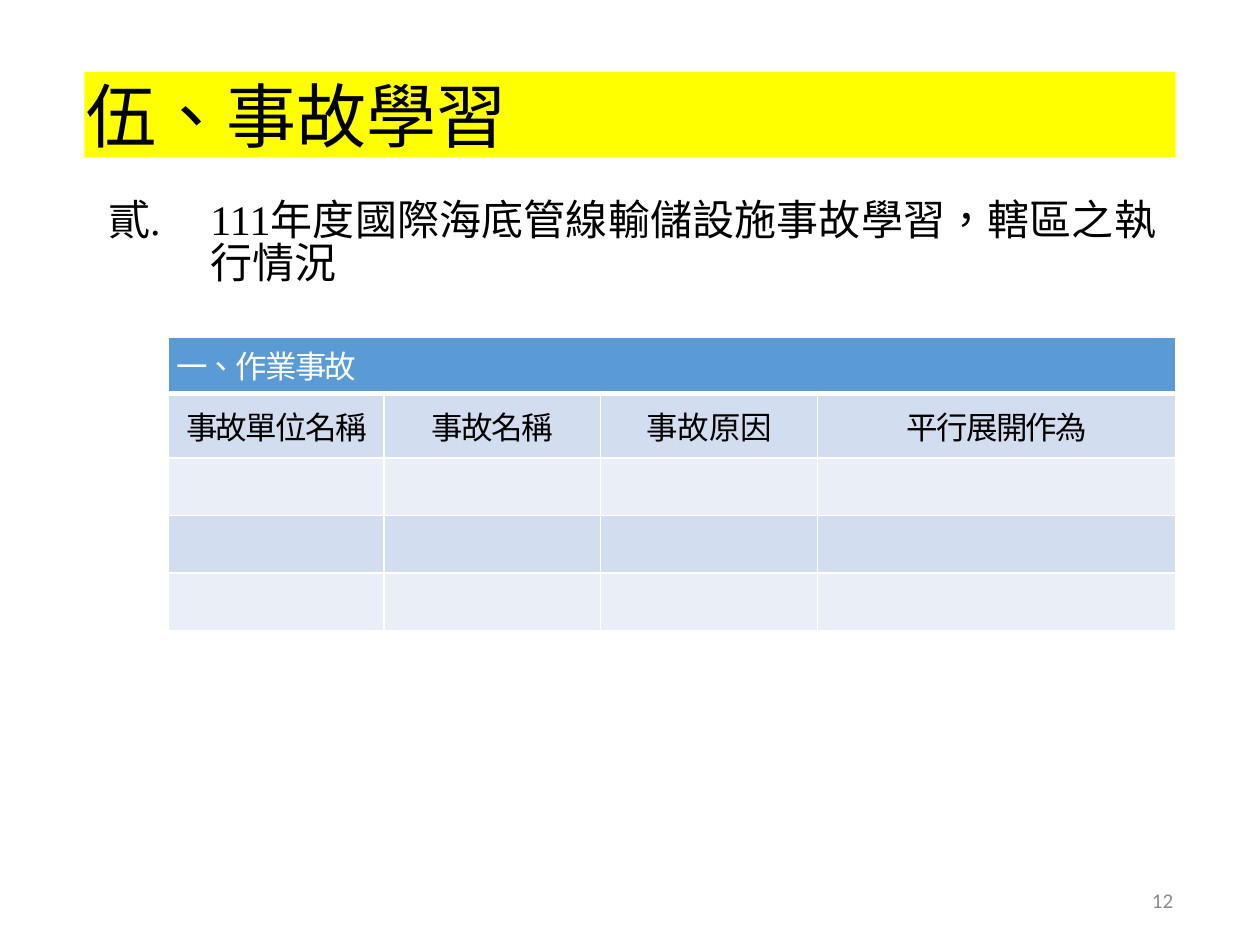
from lxml import etree
from pptx import Presentation
from pptx import util as u
from pptx.dml.color import RGBColor
from pptx.enum import lang, shapes, text
from pptx.oxml.ns import qn

CJK = "Noto Sans CJK SC"
SERIF = "Times New Roman"
BLACK, WHITE = "000000", "FFFFFF"
HEADER_FILL, BANDS = "5B9BD5", ("D2DEEF", "EAEFF7")

COLUMN_WIDTHS = (4.34, 4.37, 4.37, 7.23)
ROW_HEIGHTS = (1.14, 1.3, 1.16, 1.16, 1.16)
# Heading and its letter spacing in points
HEADINGS = (("事故單位名稱", -1), ("事故名稱", -1), ("事故原因", 0), ("平行展開作為", -1))


def rgb(value):
    return RGBColor.from_string(value)


def fill_solid(fill, color):
    fill.solid()
    fill.fore_color.rgb = rgb(color)


def set_margins(frame, x=0, y=0):
    """Works for text frames and table cells alike."""
    frame.margin_left = frame.margin_right = u.Cm(x)
    frame.margin_top = frame.margin_bottom = u.Cm(y)


def write(p, content, size, font, color, spacing=0, align=text.PP_ALIGN.LEFT):
    p.add_run().text = content
    p.alignment = align
    f = p.font
    f.size, f.name, f.color.rgb = u.Pt(size), font, rgb(color)
    f.language_id = lang.MSO_LANGUAGE_ID.TRADITIONAL_CHINESE
    props = p._p.get_or_add_pPr().get_or_add_defRPr()
    props.set("spc", str(round(spacing * 100)))
    etree.SubElement(props, qn("a:ea")).set("typeface", CJK)


def indent(p, left, first=0):
    props = p._p.get_or_add_pPr()
    props.set("marL", str(u.Cm(left)))
    props.set("indent", str(u.Cm(first)))
    return props


def add_text(slide, left, top, width, height, anchor):
    sp = slide.shapes.add_textbox(u.Cm(left), u.Cm(top), u.Cm(width), u.Cm(height))
    tf = sp.text_frame
    tf.word_wrap = True
    tf.vertical_anchor = anchor
    set_margins(tf)
    return tf


def add_title(slide):
    sp = slide.shapes.add_shape(shapes.MSO_SHAPE.RECTANGLE,
                                u.Cm(1.7), u.Cm(1.45), u.Cm(22), u.Cm(1.72))
    sp.shadow.inherit = False
    fill_solid(sp.fill, "FFFF00")
    sp.line.fill.background()
    tf = sp.text_frame
    tf.word_wrap = True
    tf.vertical_anchor = text.MSO_ANCHOR.MIDDLE
    set_margins(tf)
    p = tf.paragraphs[0]
    write(p, "伍、事故學習", 40, SERIF, BLACK, 0.1)
    indent(p, 0.05)


def add_numbered_heading(slide):
    tf = add_text(slide, 2.13, 3.99, 22, 2.06, text.MSO_ANCHOR.TOP)
    tf.margin_top = u.Cm(0.08)
    p = tf.paragraphs[0]
    p.line_spacing = 0.84
    write(p, "111年度國際海底管線輸儲設施事故學習，轄區之執行情況", 24, SERIF, BLACK, 0.1)
    props = indent(p, 2.11, -2.06)
    number = etree.Element(qn("a:buAutoNum"), type="ea1ChtPeriod", startAt="2")
    props.find(qn("a:defRPr")).addprevious(number)


def set_borders(cell, bottom=1):
    props = cell._tc.get_or_add_tcPr()
    for side, width in (("L", 1), ("R", 1), ("T", 1), ("B", bottom)):
        ln = etree.SubElement(props, qn(f"a:ln{side}"), w=str(u.Pt(width)))
        color = etree.SubElement(etree.SubElement(ln, qn("a:solidFill")), qn("a:srgbClr"))
        color.set("val", WHITE)


def add_accident_table(slide):
    table = slide.shapes.add_table(
        len(ROW_HEIGHTS), len(COLUMN_WIDTHS), u.Cm(3.4), u.Cm(6.79),
        u.Cm(sum(COLUMN_WIDTHS)), u.Cm(sum(ROW_HEIGHTS))).table
    for column, width in zip(table.columns, COLUMN_WIDTHS):
        column.width = u.Cm(width)
    for i, (row, height) in enumerate(zip(table.rows, ROW_HEIGHTS)):
        row.height = u.Cm(height)
        for cell in row.cells:
            set_margins(cell, 0.15, 0.08)
            cell.vertical_anchor = text.MSO_ANCHOR.MIDDLE
            set_borders(cell, bottom=1 if i else 3)
            fill_solid(cell.fill, BANDS[(i - 1) % 2] if i else HEADER_FILL)

    header = table.cell(0, 0)
    header.merge(table.cell(0, len(COLUMN_WIDTHS) - 1))
    write(header.text_frame.paragraphs[0], "一、作業事故", 18, CJK, WHITE, -1)
    for cell, (heading, spacing) in zip(table.rows[1].cells, HEADINGS):
        write(cell.text_frame.paragraphs[0], heading, 18, CJK, BLACK, spacing,
              text.PP_ALIGN.CENTER)


def add_page_number(slide):
    tf = add_text(slide, 17.93, 17.65, 5.72, 1.01, text.MSO_ANCHOR.MIDDLE)
    write(tf.paragraphs[0], "12", 12, "Calibri", "8C8C8C", align=text.PP_ALIGN.RIGHT)


def main():
    prs = Presentation()
    prs.slide_width, prs.slide_height = u.Cm(25.4), u.Cm(19.05)
    slide = prs.slides.add_slide(prs.slide_layouts[6])
    add_title(slide)
    add_accident_table(slide)
    add_page_number(slide)
    add_numbered_heading(slide)
    prs.save("out.pptx")


if __name__ == "__main__":
    main()
